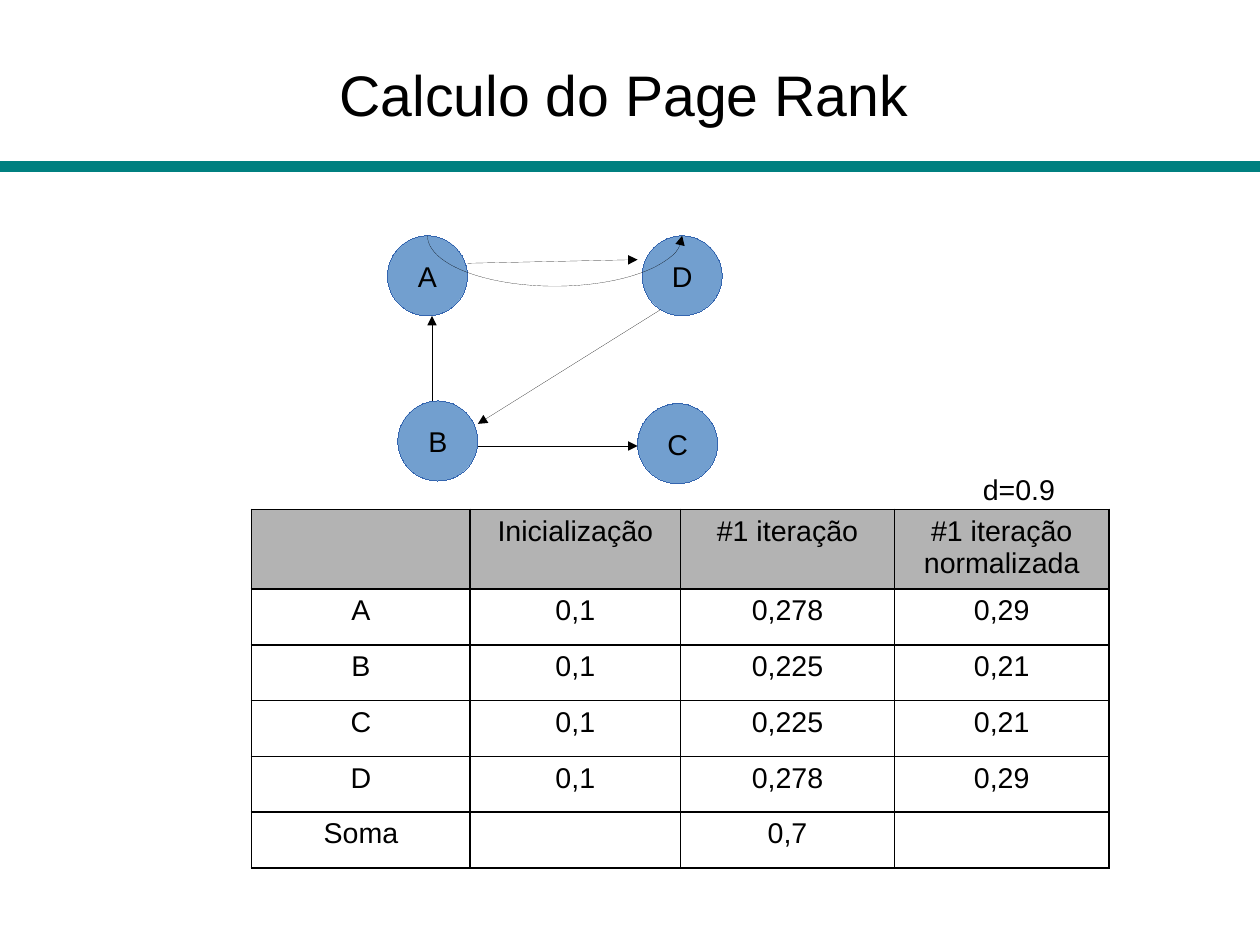
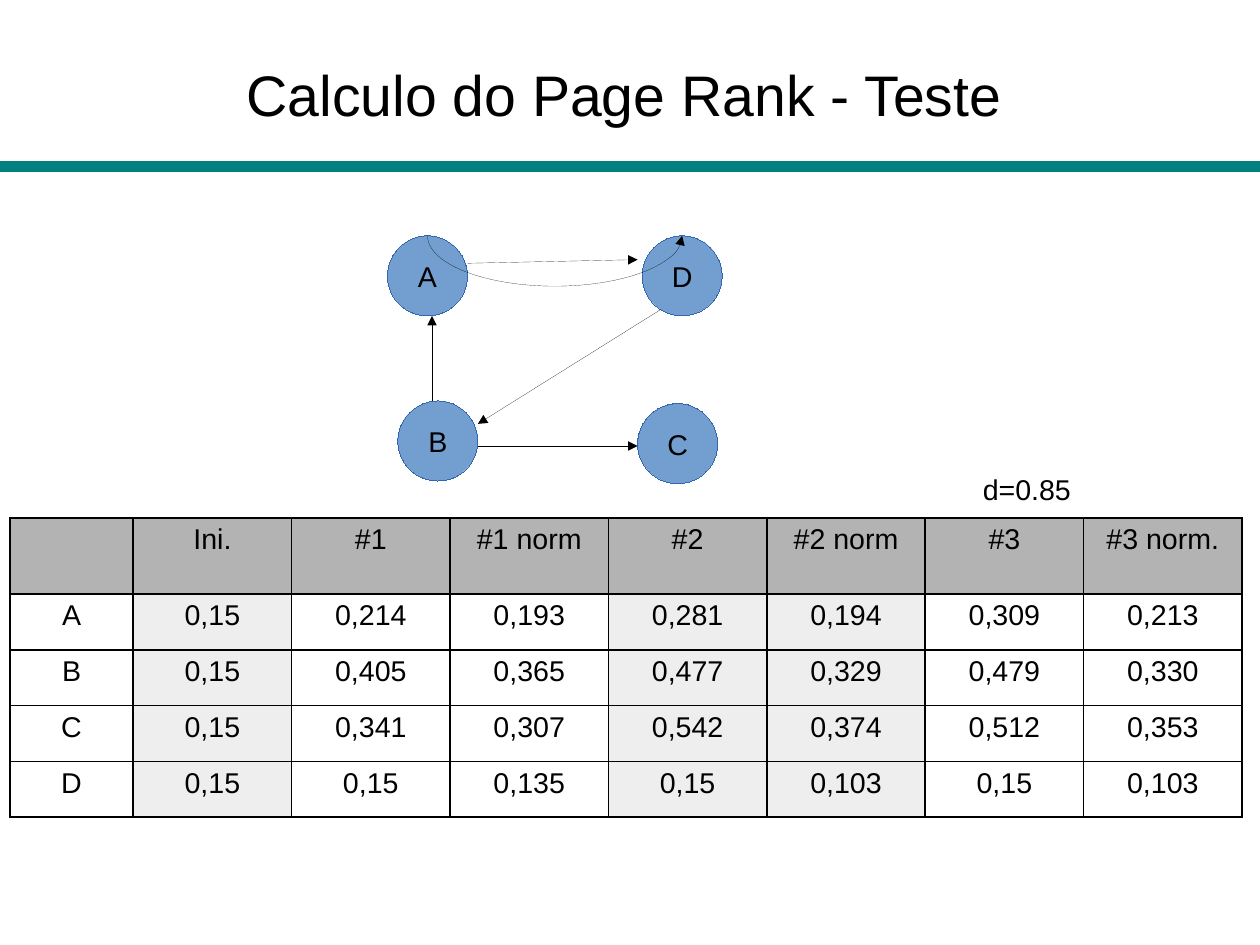
from lxml import etree
from pptx import Presentation, util as u
from pptx.dml.color import RGBColor
from pptx.enum import shapes, text
from pptx.oxml.ns import qn

PAGE_WIDTH, PAGE_HEIGHT = 28, 21
FONT = "Arial"
BLACK, WHITE, TEAL = "000000", "FFFFFF", "008080"
NODE_FILL, NODE_LINE = "729FCF", "3465AF"
HEADER_GREY, COLUMN_GREY = "B3B3B3", "EEEEEE"
HAIRLINE = 0.01  # a width of 0 is not written, and the theme's width would apply

NODE_SIZE = 1.78
NODES = {"D": (5.66, 0), "A": (0, 0), "B": (0.23, 3.67), "C": (5.56, 3.73)}
LINKS = [
    (1.78, 0.61, 5.56, 0.53),  # A to D
    (0.99, 3.67, 0.99, 1.78),  # B to A
    (2.01, 4.67, 5.56, 4.67),  # B to C
    (6.07, 1.64, 2.01, 4.18),  # D to B
]
CURVE_DEPTH = 1.12
ROW_HEIGHT = 1.24


def cm(*lengths):
    return [u.Cm(length) for length in lengths]


def paint(fill, colour):
    fill.solid()
    fill.fore_color.rgb = RGBColor.from_string(colour)


def style_text(frame, size=18, align=text.PP_ALIGN.CENTER):
    for para in frame.paragraphs:
        para.alignment = align
        para.font.name = FONT
        para.font.size = u.Pt(size)
        paint(para.font.fill, BLACK)


def style_line(shape, colour, width=HAIRLINE, arrow=None):
    """Set the outline; arrow is headEnd, tailEnd or None."""
    paint(shape.line.fill, colour)
    shape.line.width = u.Pt(width)
    if arrow:
        outline = shape._element.spPr.find(qn("a:ln"))
        etree.SubElement(outline, qn("a:" + arrow), type="triangle")


def add_line(page, start_x, start_y, end_x, end_y, colour, width=HAIRLINE, arrow=None):
    line = page.shapes.add_connector(
        shapes.MSO_CONNECTOR.STRAIGHT, *cm(start_x, start_y, end_x, end_y))
    style_line(line, colour, width, arrow)
    etree.SubElement(line._element.spPr, qn("a:effectLst"))


def add_page(deck, title):
    """Add a slide with the shared title and band."""
    page = deck.slides.add_slide(deck.slide_layouts[5])
    box = page.shapes.title
    box.left, box.top, box.width, box.height = cm(-0.26, 0.33, 28.25, 3.5)
    frame = box.text_frame
    frame.text = title
    frame.word_wrap = True
    frame.vertical_anchor = text.MSO_ANCHOR.MIDDLE
    frame.margin_left = frame.margin_right = 0
    frame.margin_top = frame.margin_bottom = 0
    style_text(frame, size=36)
    add_line(page, 0, 3.7, PAGE_WIDTH, 3.7, TEAL, width=7.2)
    return page


def add_graph(page, left, top):
    for name, (x, y) in NODES.items():
        node = page.shapes.add_shape(
            shapes.MSO_SHAPE.OVAL, *cm(left + x, top + y, NODE_SIZE, NODE_SIZE))
        node.shadow.inherit = False
        paint(node.fill, NODE_FILL)
        style_line(node, NODE_LINE)
        frame = node.text_frame
        frame.text = name
        frame.word_wrap = False
        frame.vertical_anchor = text.MSO_ANCHOR.MIDDLE
        style_text(frame)
    for start_x, start_y, end_x, end_y in LINKS:
        add_line(page, left + start_x, top + start_y, left + end_x, top + end_y,
                 BLACK, arrow="tailEnd")
    add_curve(page, left + NODE_SIZE / 2, top, NODES["D"][0])


def add_curve(page, left, top, width):
    """Draw the lower half of an ellipse, with its arrowhead at the right."""
    curve = page.shapes.add_shape(
        shapes.MSO_SHAPE.ARC, *cm(left, top - CURVE_DEPTH, width, 2 * CURVE_DEPTH))
    curve.adjustments[0] = 0
    curve.adjustments[1] = 108  # 180 degrees, in units of 100000/60000 degree
    curve.shadow.inherit = False
    curve.fill.background()
    style_line(curve, BLACK, arrow="headEnd")


def add_damping(page, left, top, label):
    box = page.shapes.add_textbox(*cm(left, top, 3.5, 0.97))
    box.text_frame.text = label
    box.text_frame.word_wrap = True
    style_text(box.text_frame, align=text.PP_ALIGN.LEFT)


def add_borders(cell):
    properties = cell._tc.get_or_add_tcPr()
    for side in "LRTB":
        border = etree.SubElement(properties, qn("a:ln" + side), w=str(u.Pt(1.13)))
        fill = etree.SubElement(border, qn("a:solidFill"))
        etree.SubElement(fill, qn("a:srgbClr"), val=BLACK)


def add_ranks(page, left, top, widths, header_height, rows, shaded=()):
    """Add the rank table; shaded lists the columns with a grey body."""
    heights = [header_height] + [ROW_HEIGHT] * (len(rows) - 1)
    table = page.shapes.add_table(
        len(rows), len(widths), *cm(left, top, sum(widths), sum(heights))).table
    table.first_row = table.horz_banding = False
    for column, width in zip(table.columns, widths):
        column.width = u.Cm(width)
    for row, height in zip(table.rows, heights):
        row.height = u.Cm(height)
    for r, values in enumerate(rows):
        for c, value in enumerate(values):
            cell = table.cell(r, c)
            cell.text = value
            style_text(cell.text_frame)
            add_borders(cell)
            body = COLUMN_GREY if c in shaded else WHITE
            paint(cell.fill, HEADER_GREY if r == 0 else body)


def add_rank_page(deck, title, damping, **ranks):
    page = add_page(deck, title)
    add_graph(page, 8.61, 5.24)
    add_ranks(page, **ranks)
    add_damping(page, 21.59, 10.36, damping)


def main():
    deck = Presentation()
    deck.slide_width, deck.slide_height = cm(PAGE_WIDTH, PAGE_HEIGHT)
    add_rank_page(
        deck, "Calculo do Page Rank", "d=0.9",
        left=5.59, top=11.32, widths=[4.86, 4.67, 4.76, 4.76], header_height=1.77,
        rows=[
            ["", "Inicialização", "#1 iteração", "#1 iteração normalizada"],
            ["A", "0,1", "0,278", "0,29"],
            ["B", "0,1", "0,225", "0,21"],
            ["C", "0,1", "0,225", "0,21"],
            ["D", "0,1", "0,278", "0,29"],
            ["Soma", "", "0,7", ""],
        ])
    add_rank_page(
        deck, "Calculo do Page Rank - Teste", "d=0.85",
        left=0.22, top=11.51, widths=[2.74] + [3.52] * 7, header_height=1.69,
        shaded=(1, 4, 5),
        rows=[
            ["", "Ini.", "#1", "#1 norm", "#2", "#2 norm", "#3", "#3 norm."],
            ["A", "0,15", "0,214", "0,193", "0,281", "0,194", "0,309", "0,213"],
            ["B", "0,15", "0,405", "0,365", "0,477", "0,329", "0,479", "0,330"],
            ["C", "0,15", "0,341", "0,307", "0,542", "0,374", "0,512", "0,353"],
            ["D", "0,15", "0,15", "0,135", "0,15", "0,103", "0,15", "0,103"],
        ])
    deck.save("out.pptx")


if __name__ == "__main__":
    main()
